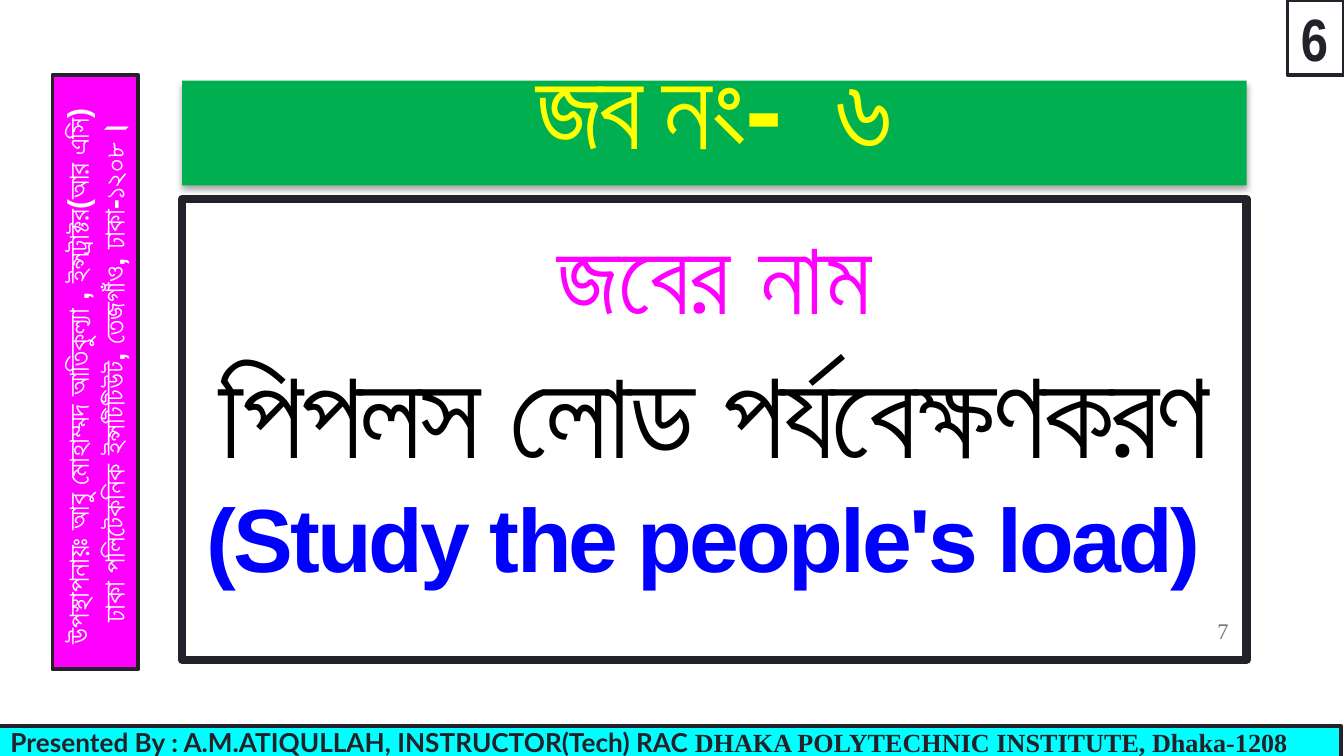
from lxml.etree import SubElement
from pptx import Presentation
from pptx.dml.color import RGBColor
from pptx.enum.shapes import MSO_SHAPE
from pptx.enum.text import MSO_ANCHOR, MSO_AUTO_SIZE, PP_ALIGN
from pptx.oxml.ns import qn
from pptx.util import Inches, Pt

CELL = Inches(0.1)
INK, YELLOW, GREEN, MAGENTA = "25212A", "FFFF00", "00B050", "FF00FF"
CYAN, BLUE, BLACK, WHITE, GREY = "00FFFF", "0000FF", "000000", "FFFFFF", "797281"


def colour(value):
    """Turn a hex string into a colour."""
    return RGBColor.from_string(value)


def cells(*counts):
    """Turn counts of grid cells into lengths."""
    return [int(CELL * count) for count in counts]


def place(box, column, row, columns, rows):
    """Put a box on the grid."""
    box.left, box.top, box.width, box.height = cells(column, row, columns, rows)


def paint(box, fill=None, line=None, width=2):
    """Set the fill and outline of a box."""
    if fill:
        box.fill.solid()
        box.fill.fore_color.rgb = colour(fill)
    if line:
        box.line.color.rgb = colour(line)
        box.line.width = Pt(width)


def prepare(box, anchor, inset=None):
    """Set wrapping, anchor and insets of a text frame."""
    frame = box.text_frame
    frame.word_wrap = True
    frame.auto_size = MSO_AUTO_SIZE.NONE
    frame.vertical_anchor = anchor
    if inset:
        frame.margin_left = frame.margin_right = Inches(inset)
        frame.margin_top = frame.margin_bottom = Inches(inset)
    return frame


def add_span(para, text, size, face, ink, bold=True, spacing=0):
    """Add one formatted run to a paragraph."""
    span = para.add_run()
    span.text = text
    font = span.font
    font.size, font.name, font.bold = Pt(size), face, bold
    font.color.rgb = colour(ink)
    if spacing:
        span._r.get_or_add_rPr().set("spc", str(int(spacing * 100)))


def write(frame, lines, align, line_spacing=1.0):
    """Fill a frame with paragraphs, each a list of run settings."""
    for index, spans in enumerate(lines):
        para = frame.add_paragraph() if index else frame.paragraphs[0]
        para.alignment = align
        para.line_spacing = line_spacing
        para.space_before = para.space_after = Pt(0)
        for span in spans:
            add_span(para, *span)


def add_panel(page, grid, fill, lines, align, anchor, inset=None):
    """Add an outlined rectangle with text."""
    box = page.shapes.add_shape(MSO_SHAPE.RECTANGLE, *cells(*grid))
    box.shadow.inherit = False
    paint(box, fill, INK)
    write(prepare(box, anchor, inset), lines, align)
    return box


def cast_shadow(box):
    """Give a box a soft shadow straight below."""
    effects = SubElement(box._element.spPr, qn("a:effectLst"))
    shadow = SubElement(effects, qn("a:outerShdw"), blurRad=str(Pt(3.1)),
                        dist=str(Pt(1.8)), dir="5400000", rotWithShape="0")
    tint = SubElement(shadow, qn("a:srgbClr"), val=BLACK)
    SubElement(tint, qn("a:alpha"), val="35000")


def fill_title(page):
    """Format the job number banner."""
    title = page.shapes.title
    place(title, 13.55, 6, 79.2, 7.8)
    paint(title, GREEN)
    cast_shadow(title)
    frame = prepare(title, MSO_ANCHOR.BOTTOM, 0.1)
    write(frame, [[("জব নং-  ৬", 60, "Arial", YELLOW, True, -3)]],
          PP_ALIGN.CENTER, Pt(22))


def fill_subtitle(page):
    """Format the framed job name."""
    subtitle = page.placeholders[1]
    place(subtitle, 13.55, 14.8, 79.2, 34.3)
    paint(subtitle, line=INK, width=4.5)
    frame = prepare(subtitle, MSO_ANCHOR.TOP, 0.1)
    write(frame, [
        [("জবের নাম", 55, "Arial", MAGENTA)],
        [("পিপলস লোড পর্যবেক্ষণকরণ", 66, "Arial", BLACK, True, -1.5)],
        [("(Study the people's load) ", 48, "Arial", BLUE, True, -1.5)],
    ], PP_ALIGN.CENTER)


def add_page_number(page):
    """Add the small page number."""
    box = page.shapes.add_textbox(*cells(86.4, 44.8, 6, 4.3))
    write(prepare(box, MSO_ANCHOR.MIDDLE, 0.1),
          [[("7", 12, "Times New Roman", GREY, False)]], PP_ALIGN.RIGHT)


def main():
    """Build and save the slide."""
    deck = Presentation()
    deck.slide_width, deck.slide_height = cells(100, 56.25)
    page = deck.slides.add_slide(deck.slide_layouts[0])
    fill_title(page)
    fill_subtitle(page)
    add_page_number(page)
    add_panel(page, (-0.2, 54, 100, 2.5), CYAN, [[
        ("Presented By : A.M.ATIQULLAH, INSTRUCTOR(Tech) RAC ", 14, "Lato", INK),
        ("DHAKA POLYTECHNIC INSTITUTE, Dhaka-1208", 14, "Times New Roman", INK),
    ]], PP_ALIGN.LEFT, MSO_ANCHOR.MIDDLE)
    presenter = add_panel(page, (-15, 24.5, 44.2, 6.4), MAGENTA, [
        [("উপস্থাপনায়ঃ আবু মোহাম্মদ আতিকুল্যা , ইন্সট্রাক্টর(আর এসি) ", 16, "Arial", WHITE)],
        [("ঢাকা পলিটেকনিক ইন্সটিটিউট, তেজগাঁও, ঢাকা-১২০৮।", 16, "Arial", WHITE)],
    ], PP_ALIGN.CENTER, MSO_ANCHOR.TOP)
    presenter.rotation = 270
    add_panel(page, (95.8, 0, 4.2, 5.6), WHITE,
              [[("6", 32, "Arial Narrow", INK, True, -3)]],
              PP_ALIGN.LEFT, MSO_ANCHOR.MIDDLE, 0.1)
    deck.save("out.pptx")


if __name__ == "__main__":
    main()
